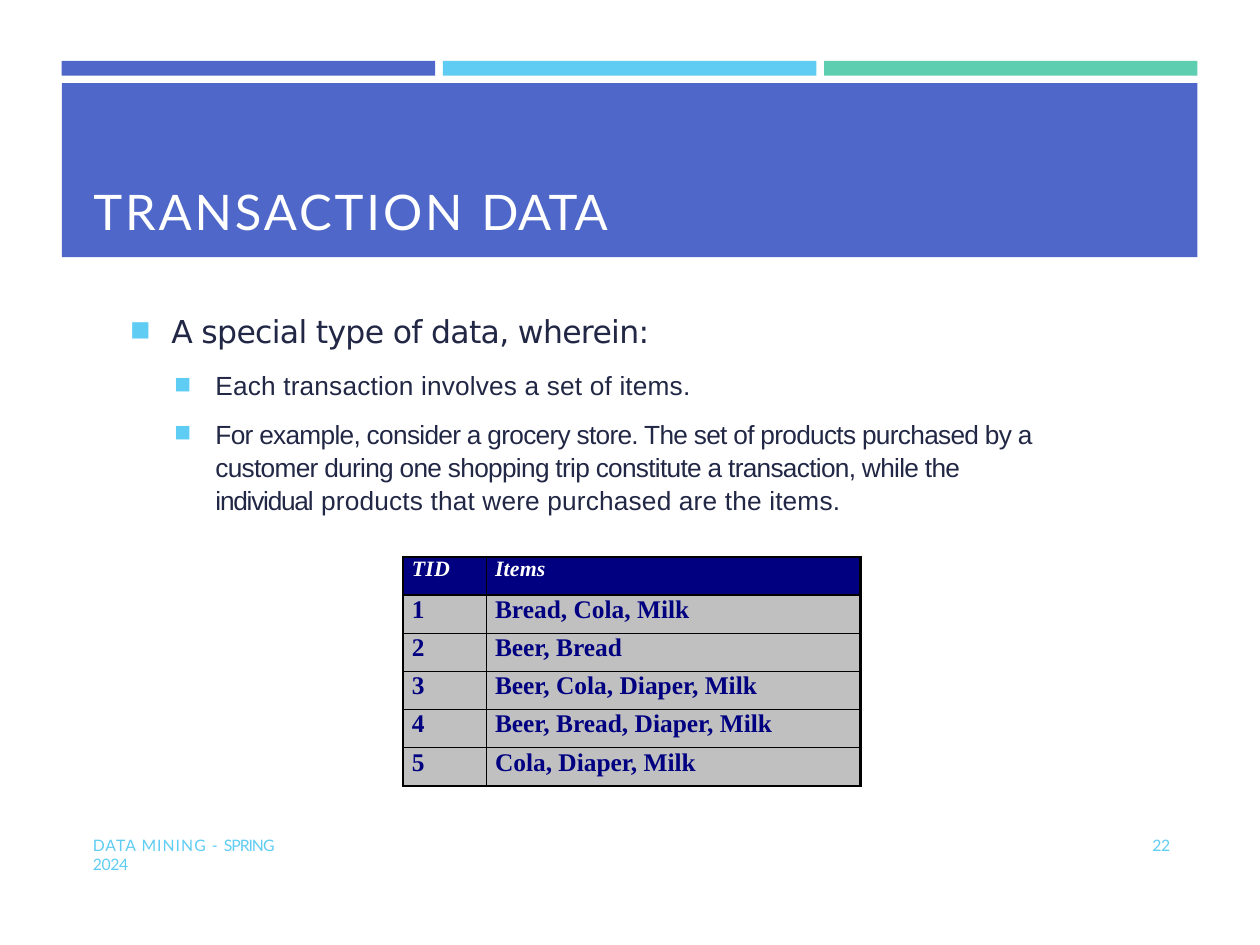
from lxml import etree
from pptx import Presentation
from pptx.dml.color import RGBColor
from pptx.enum.shapes import MSO_SHAPE
from pptx.enum.text import MSO_ANCHOR, MSO_AUTO_SIZE
from pptx.oxml.ns import qn
from pptx.util import Pt

RECTANGLE = MSO_SHAPE.RECTANGLE
TOP = MSO_ANCHOR.TOP
NO_AUTOFIT = MSO_AUTO_SIZE.NONE

INDIGO, SKY, GREEN = "4E67C8", "5ECCF3", "5DCEAF"
INK, WHITE, NAVY, SILVER, BLACK = "212745", "FFFFFF", "000080", "C0C0C0", "000000"

LEFT, CONTENT_WIDTH = 35.3, 649
BAR_WIDTH, BAR_PITCH = 213.4, 217.8
THICK, THIN = 1.5, 0.75

TITLE = {"name": "Lato", "size": Pt(28), "color": WHITE}
FOOTER = {"name": "Lato", "size": Pt(9), "color": SKY}
LEAD = {"name": "DejaVu Sans", "size": Pt(18), "color": INK}
DETAIL = {"name": "Arial", "size": Pt(15), "color": INK}
HEADER = {"name": "Times New Roman", "size": Pt(12.5), "color": WHITE,
          "bold": True, "italic": True}
BODY = {"name": "Times New Roman", "size": Pt(14.5), "color": NAVY, "bold": True}

BULLETS = [
    (0, LEAD, 25.2, {"space_before": Pt(13.5)},
     [("A special type of data, wherein:", -0.4)]),
    (1, DETAIL, 50.4, {"space_before": Pt(10.4), "line_spacing": 1.04},
     [("Each transaction involves a set of items.", 0.1)]),
    (1, DETAIL, 50.4, {"space_before": Pt(9.1), "line_spacing": 1.04},
     [("For example, consider a grocery store. The set of products purchased by a "
       "customer during one shopping trip constitute a transaction, while the ", -0.4),
      ("individual", -0.7),
      (" products that were purchased are the items.", 0.1)]),
]

TRANSACTIONS = [
    ("TID", "Items"),
    ("1", "Bread, Cola, Milk"),
    ("2", "Beer, Bread"),
    ("3", "Beer, Cola, Diaper, Milk"),
    ("4", "Beer, Bread, Diaper, Milk"),
    ("5", "Cola, Diaper, Milk"),
]


def color(hex_string):
    return RGBColor.from_string(hex_string)


def set_attributes(target, values):
    for name, value in values.items():
        setattr(target, name, value)


def add_runs(paragraph, runs, style):
    for text, spacing in runs:
        run = paragraph.add_run()
        run.text = text
        set_attributes(run.font, {k: v for k, v in style.items() if k != "color"})
        run.font.color.rgb = color(style["color"])
        run._r.get_or_add_rPr().set("spc", str(round(spacing * 100)))


def set_indent(paragraph, margin, first_line=0):
    properties = paragraph._p.get_or_add_pPr()
    properties.set("marL", str(Pt(margin)))
    properties.set("indent", str(Pt(first_line)))
    return properties


def prepare_frame(shape, left=0, top=0):
    frame = shape.text_frame
    set_attributes(frame, {
        "word_wrap": True, "auto_size": NO_AUTOFIT, "vertical_anchor": TOP,
        "margin_left": Pt(left), "margin_top": Pt(top),
        "margin_right": 0, "margin_bottom": 0,
    })
    return frame


def add_rectangle(slide, left, top, width, height, fill):
    shape = slide.shapes.add_shape(RECTANGLE, Pt(left), Pt(top), Pt(width), Pt(height))
    shape.shadow.inherit = False
    shape.fill.solid()
    shape.fill.fore_color.rgb = color(fill)
    shape.line.fill.background()
    return shape


def add_text(slide, left, top, width, height, runs, style):
    box = slide.shapes.add_textbox(Pt(left), Pt(top), Pt(width), Pt(height))
    add_runs(prepare_frame(box).paragraphs[0], runs, style)


def add_title(slide):
    banner = add_rectangle(slide, LEFT, 47.5, CONTENT_WIDTH, 99.4, INDIGO)
    paragraph = prepare_frame(banner, 18, 56.3).paragraphs[0]
    set_indent(paragraph, 0).set("algn", "l")
    add_runs(paragraph, [("TRANSACTION ", 1.7), ("DATA", 0.3)], TITLE)


def add_bullet_mark(properties, size_percent):
    bullet_color = etree.SubElement(properties, qn("a:buClr"))
    etree.SubElement(bullet_color, qn("a:srgbClr")).set("val", SKY)
    etree.SubElement(properties, qn("a:buSzPct")).set("val", str(size_percent * 1000))
    etree.SubElement(properties, qn("a:buChar")).set("char", "◾")


def add_bullets(slide):
    box = slide.shapes.add_textbox(Pt(72.7), Pt(164.9), Pt(532.1), Pt(127.4))
    frame = prepare_frame(box, 0, 13.7)
    for index, (level, style, margin, layout, runs) in enumerate(BULLETS):
        paragraph = frame.add_paragraph() if index else frame.paragraphs[0]
        set_attributes(paragraph, {"level": level, **layout})
        add_bullet_mark(set_indent(paragraph, margin, -23.8), 93)
        add_runs(paragraph, runs, style)


def set_borders(cell, widths):
    properties = cell._tc.get_or_add_tcPr()
    for position, (side, width) in enumerate(widths.items()):
        line = etree.Element(qn(f"a:ln{side}"), w=str(Pt(width)))
        fill = etree.SubElement(line, qn("a:solidFill"))
        etree.SubElement(fill, qn("a:srgbClr")).set("val", BLACK)
        properties.insert(position, line)


def fill_cell(cell, text, is_header):
    set_attributes(cell, {"margin_left": 0, "margin_right": 0,
                          "margin_top": 0, "margin_bottom": 0})
    cell.fill.solid()
    cell.fill.fore_color.rgb = color(NAVY if is_header else SILVER)
    paragraph = cell.text_frame.paragraphs[0]
    if not is_header:
        paragraph.line_spacing = Pt(16.4)
    set_indent(paragraph, 5)
    add_runs(paragraph, [(text, 0.1 if is_header else 0)], HEADER if is_header else BODY)


def add_transaction_table(slide):
    rows, columns = len(TRANSACTIONS), len(TRANSACTIONS[0])
    frame = slide.shapes.add_table(rows, columns, Pt(230.4), Pt(318.2), Pt(261.4), Pt(131))
    table = frame.table
    set_attributes(table, {"first_row": False, "horz_banding": False})
    for column, width in zip(table.columns, (47.5, 213.9)):
        column.width = Pt(width)
    for row_index, values in enumerate(TRANSACTIONS):
        table.rows[row_index].height = Pt(131 / rows)
        for column_index, text in enumerate(values):
            cell = table.cell(row_index, column_index)
            fill_cell(cell, text, row_index == 0)
            set_borders(cell, {
                "L": THICK if column_index == 0 else THIN,
                "R": THICK if column_index == columns - 1 else THIN,
                "T": THICK if row_index == 0 else THIN,
                "B": THICK if row_index == rows - 1 else THIN,
            })


def main():
    presentation = Presentation()
    set_attributes(presentation, {"slide_width": Pt(720), "slide_height": Pt(540)})
    slide = presentation.slides.add_slide(presentation.slide_layouts[6])
    for index, fill in enumerate((INDIGO, SKY, GREEN)):
        add_rectangle(slide, LEFT + index * BAR_PITCH, 34.8, BAR_WIDTH, 8.4, fill)
    add_title(slide)
    add_bullets(slide)
    add_transaction_table(slide)
    add_text(slide, 53, 477.5, 118, 24,
             [("DATA MINING - ", 0.6), ("SPRING", -0.6), (" 2024", -0.2)], FOOTER)
    add_text(slide, 658.5, 477.5, 15, 12, [("22", -0.2)], FOOTER)
    presentation.save("out.pptx")


if __name__ == "__main__":
    main()
